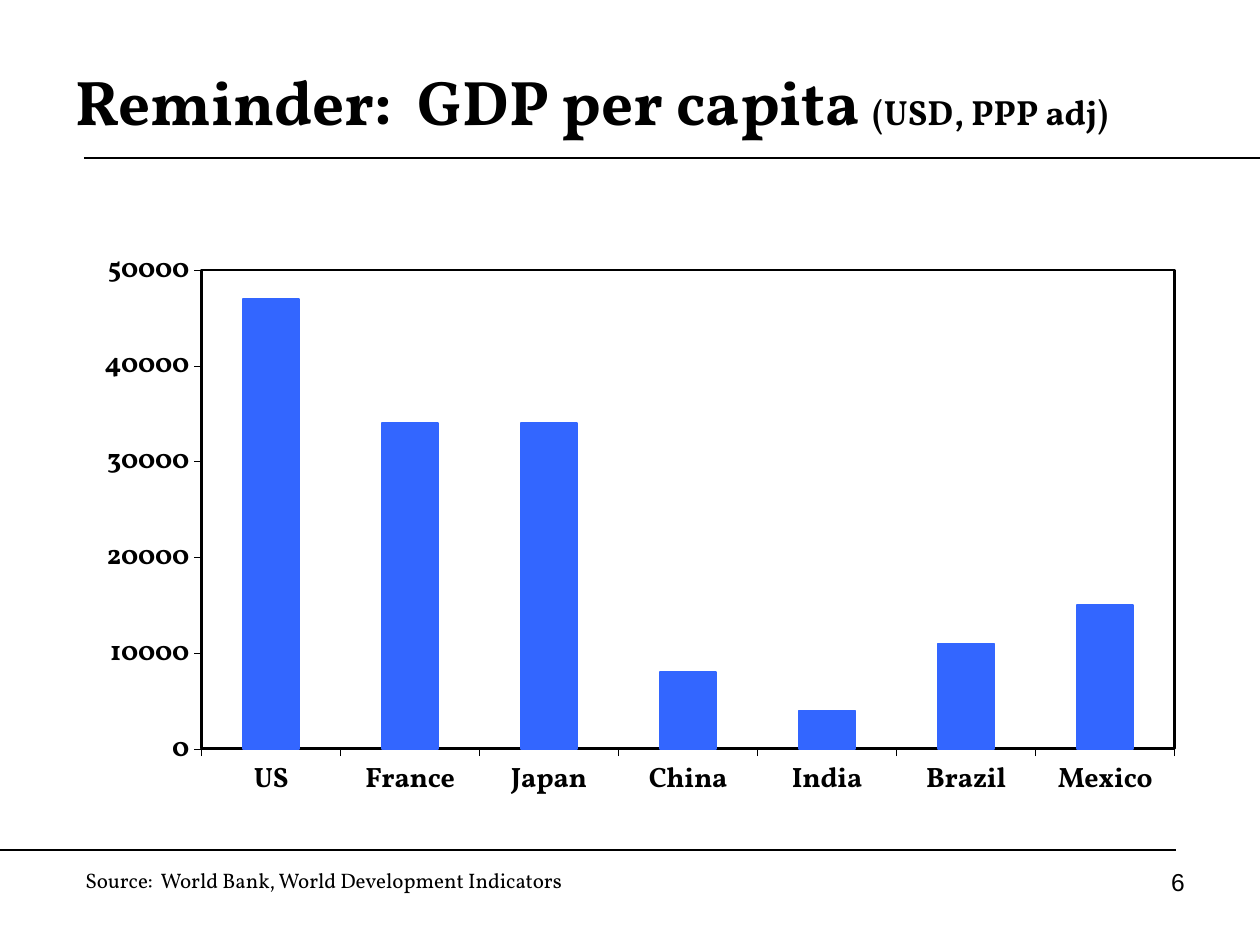
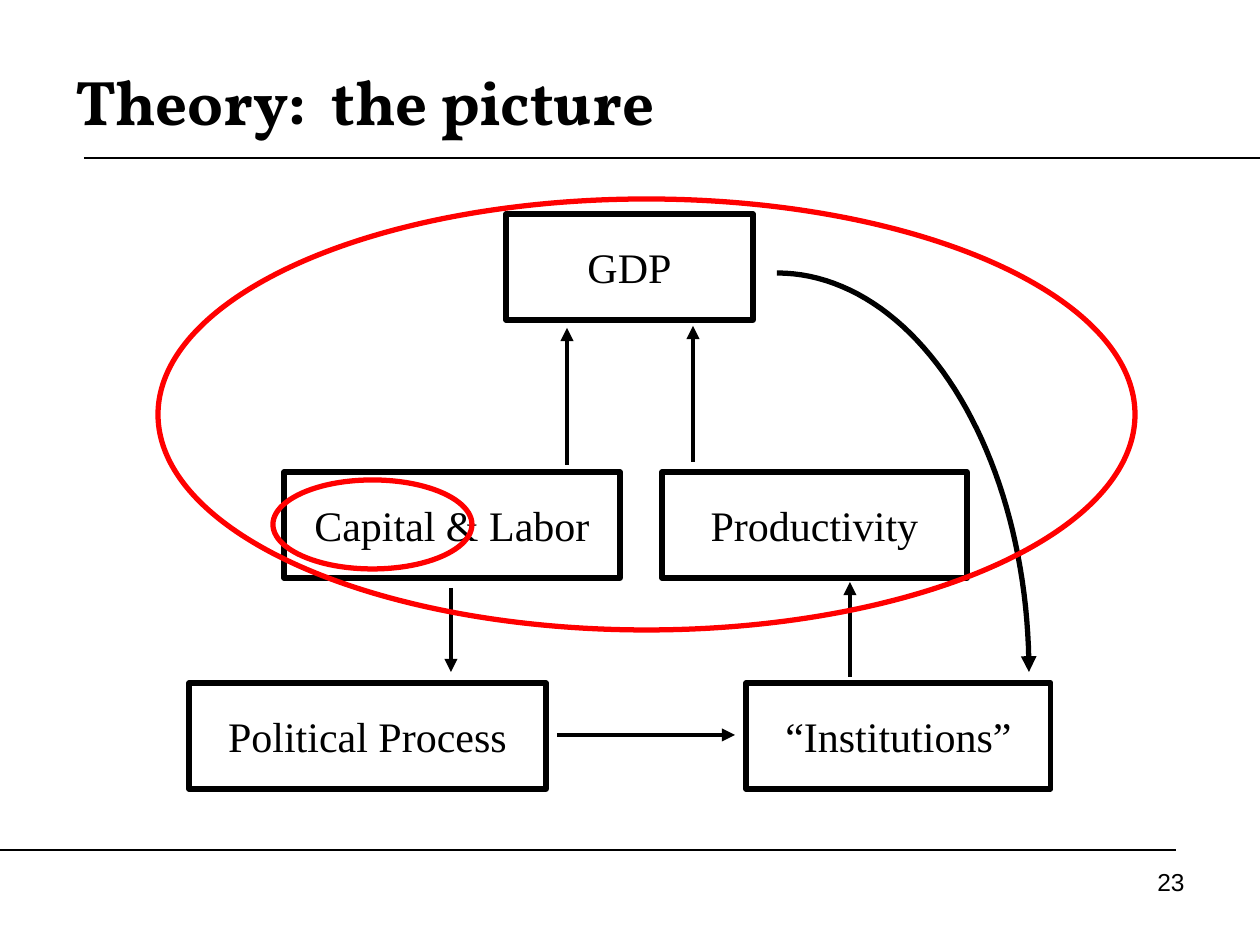
import math

import pptx
import pptx.chart.data
import pptx.dml.color
import pptx.enum.chart
import pptx.enum.shapes
import pptx.enum.text
import pptx.oxml
import pptx.oxml.ns
import pptx.util

COLORS = {"ink": "000000", "bar": "3366FF", "ring": "FF0000"}
HEAD, BODY, NUM = "Vollkorn", "Times New Roman", "Arial"
PX = 914400 / 126
SIZE = (1260, 945)
RULES = [(84, 158, 1260, 158), (0, 850, 1176, 850)]

GDP_TITLE = [("Reminder:  GDP per capita ", 36), ("(USD, PPP adj)", 20)]
GDP = {"US": 47000, "France": 34000, "Japan": 34000, "China": 8000,
       "India": 4000, "Brazil": 11000, "Mexico": 15000}
CHART = (71, 228, 1116, 610)
PLOT = {"x": 0.117, "y": 0.069, "w": 0.872, "h": 0.785}
SOURCE = "Source:  World Bank, World Development Indicators"

THEORY_TITLE = [("Theory:  the picture", 36)]
BOX_H = 106
BOXES = [  # text, left, top, width
    ("GDP", 506, 214, 247),
    ("Capital & Labor", 284, 472, 336),
    ("Productivity", 662, 472, 305),
    ("Political Process", 189, 683, 357),
    ("“Institutions”", 746, 683, 305),
]
ARROWS = [
    (567, 465, 567, 328),
    (693, 462, 693, 326),
    (850, 677, 850, 582),
    (557, 735, 735, 735),
    (451, 588, 451, 672),
]
BEND = (777, 273, 252, 399)  # start x and y, radii
RINGS = [(158, 199, 977, 431), (273, 480, 199, 89)]

SHAPE = pptx.enum.shapes.MSO_SHAPE
ALIGN = pptx.enum.text.PP_ALIGN
ANCHOR = pptx.enum.text.MSO_ANCHOR


def emu(*vals):
    return [round(v * PX) for v in vals]


def rgb(name):
    return pptx.dml.color.RGBColor.from_string(COLORS[name])


def xml(tag, **attrs):
    node = pptx.oxml.parse_xml(f"<{tag} {pptx.oxml.ns.nsdecls('a', 'c')}/>")
    for key, val in attrs.items():
        node.set(key, str(val))
    return node


def style(font, face, size, bold=False):
    font.name, font.size, font.bold = face, pptx.util.Pt(size), bold
    font.color.rgb = rgb("ink")


def stroke(line, width, color="ink", head=False):
    line.color.rgb = rgb(color)
    line.width = pptx.util.Pt(width)
    if head:
        line._get_or_add_ln().append(xml("a:tailEnd", type="triangle"))


def write(shape, runs, face=BODY, bold=False, align=ALIGN.LEFT,
          anchor=ANCHOR.TOP, wrap=True, inset=None):
    frame = shape.text_frame
    frame.word_wrap, frame.vertical_anchor = wrap, anchor
    if inset is not None:
        pad = emu(inset)[0]
        frame.margin_left = frame.margin_right = pad
        frame.margin_top = frame.margin_bottom = pad
    para = frame.paragraphs[0]
    para.alignment = align
    for text, size in runs:
        run = para.add_run()
        run.text = text
        style(run.font, face, size, bold)


def label(slide, box, runs, **fmt):
    write(slide.shapes.add_textbox(*emu(*box)), runs, **fmt)


def rule(slide, ends, width, head=False):
    line = slide.shapes.add_connector(
        pptx.enum.shapes.MSO_CONNECTOR.STRAIGHT, *emu(*ends))
    stroke(line.line, width, head=head)
    line._element.spPr.append(xml("a:effectLst"))


def outline(shape, color="ink", head=False):
    shape.shadow.inherit = False
    shape.fill.background()
    stroke(shape.line, 3, color, head)


def start(deck, title, num):
    """Add a slide with the shared title, rules and page number."""
    slide = deck.slides.add_slide(deck.slide_layouts[6])
    for ends in RULES:
        rule(slide, ends, 0.75)
    label(slide, (63, 42, 1134, 116), title, face=HEAD, bold=True,
          anchor=ANCHOR.MIDDLE)
    label(slide, (903, 861, 294, 66), [(num, 14)], face=NUM,
          align=ALIGN.RIGHT)
    return slide


def frame_plot(chart):
    """Fix the inner plot area and draw its border."""
    area = chart._chartSpace.chart.plotArea
    for old in area.findall(pptx.oxml.ns.qn("c:layout")):
        area.remove(old)
    layout, manual = xml("c:layout"), xml("c:manualLayout")
    layout.append(manual)
    manual.append(xml("c:layoutTarget", val="inner"))
    for key in "xy":
        manual.append(xml(f"c:{key}Mode", val="edge"))
    for key, val in PLOT.items():
        manual.append(xml(f"c:{key}", val=val))
    area.insert(0, layout)
    props, line, fill = xml("c:spPr"), xml("a:ln", w=19050), xml("a:solidFill")
    fill.append(xml("a:srgbClr", val=COLORS["ink"]))
    line.append(fill)
    props.extend([xml("a:noFill"), line])
    area.append(props)


def bars(slide):
    enum = pptx.enum.chart
    data = pptx.chart.data.CategoryChartData()
    data.categories = list(GDP)
    data.add_series("Series 1", list(GDP.values()))
    chart = slide.shapes.add_chart(
        enum.XL_CHART_TYPE.COLUMN_CLUSTERED, *emu(*CHART), data).chart
    chart.has_legend = chart.has_title = False
    style(chart.font, NUM, 18, True)
    for axis in (chart.category_axis, chart.value_axis):
        axis.has_major_gridlines = False
        axis.major_tick_mark = enum.XL_TICK_MARK.OUTSIDE
        style(axis.tick_labels.font, HEAD, 16, True)
        stroke(axis.format.line, 0.25)
    axis = chart.value_axis
    axis.minimum_scale, axis.maximum_scale, axis.major_unit = 0, 50000, 10000
    plot = chart.plots[0]
    plot.gap_width, plot.vary_by_categories = 150, False
    look = plot.series[0].format
    look.fill.solid()
    look.fill.fore_color.rgb = rgb("bar")
    stroke(look.line, 1, "bar")
    frame_plot(chart)


def bend(slide):
    """Draw the quarter-ellipse arrow from GDP to institutions."""
    left, top, wide, high = BEND
    steps = 48
    turns = [math.pi / 2 * i / steps for i in range(steps + 1)]
    dots = [emu(left + wide * math.sin(t), top + high * (1 - math.cos(t)))
            for t in turns]
    path = slide.shapes.build_freeform(*dots[0])
    path.add_line_segments(dots[1:], close=False)
    outline(path.convert_to_shape(), head=True)


def theory(slide):
    shapes = slide.shapes
    for text, left, top, width in BOXES:
        box = shapes.add_shape(SHAPE.RECTANGLE, *emu(left, top, width, BOX_H))
        outline(box)
        write(box, [(text, 24)], align=ALIGN.CENTER, anchor=ANCHOR.MIDDLE,
              wrap=False, inset=25)
    for ends in ARROWS:
        rule(slide, ends, 2.5, head=True)
    bend(slide)
    for ring in RINGS:
        outline(shapes.add_shape(SHAPE.OVAL, *emu(*ring)), "ring")


def main():
    deck = pptx.Presentation()
    deck.slide_width, deck.slide_height = emu(*SIZE)
    slide = start(deck, GDP_TITLE, "6")
    bars(slide)
    label(slide, (73, 861, 609, 38), [(SOURCE, 12)], face=HEAD)
    theory(start(deck, THEORY_TITLE, "23"))
    deck.save("out.pptx")


if __name__ == "__main__":
    main()
